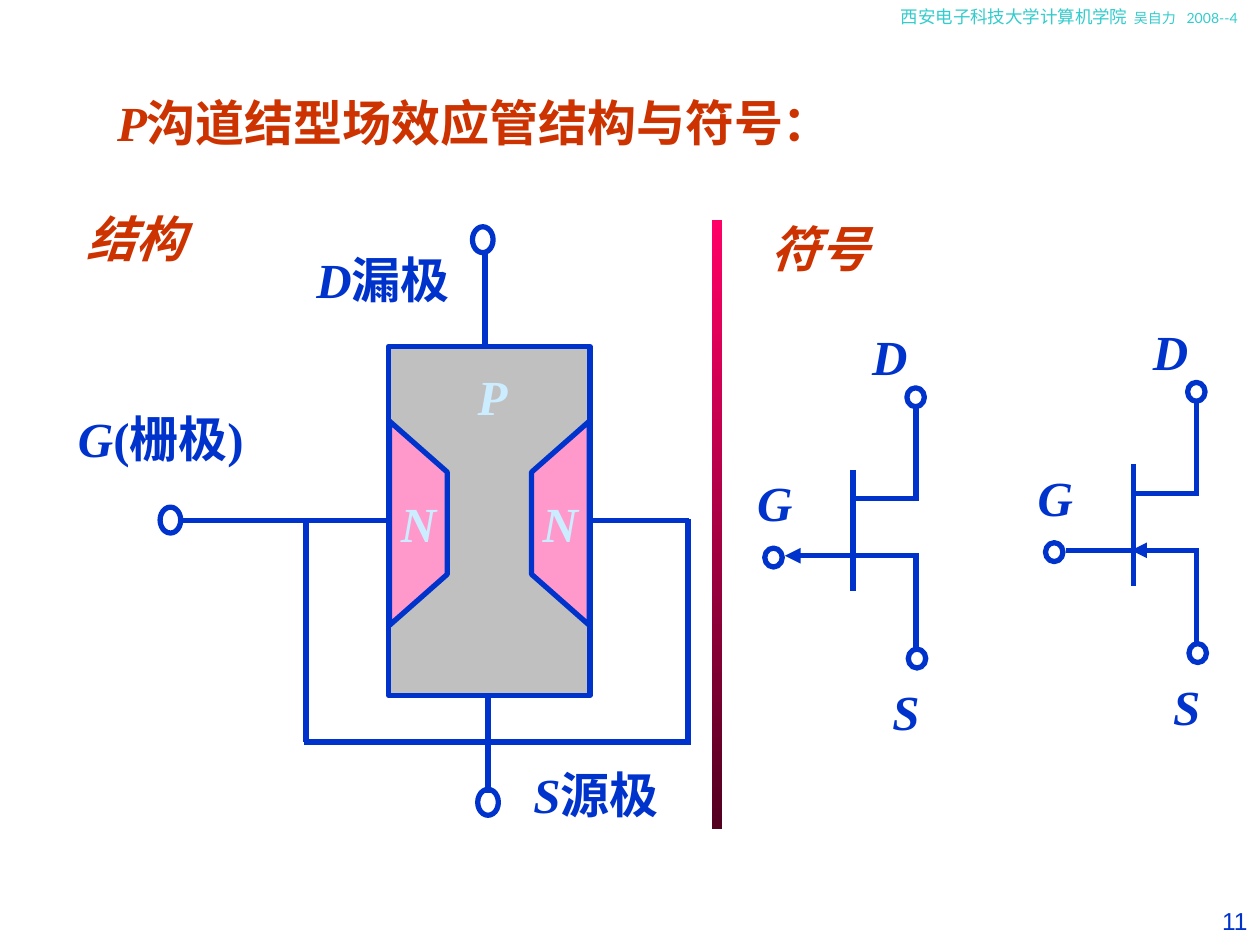
from dataclasses import dataclass

import lxml.etree
import pptx
import pptx.dml.color
import pptx.enum.shapes
import pptx.enum.text
import pptx.oxml.ns
import pptx.util

Pt = pptx.util.Pt
Shape = pptx.enum.shapes.MSO_SHAPE
Align = pptx.enum.text.PP_ALIGN
Anchor = pptx.enum.text.MSO_ANCHOR

BLUE, RED, PALE = "0033CC", "CC3300", "CCECFF"
GREY, PINK, TEAL = "C0C0C0", "FF99CC", "33CCCC"
LABEL_HEIGHT = 41


@dataclass
class Span:
    text: str
    size: float = 28
    font: str = "Times New Roman"
    color: str = BLUE
    bold: bool = True
    italic: bool = True


@dataclass
class Label:
    left: float
    top: float
    width: float
    spans: list[Span]
    align: Align = Align.CENTER
    anchor: Anchor = Anchor.MIDDLE
    height: float = LABEL_HEIGHT
    tabs: tuple[float, ...] = ()


@dataclass
class Wire:
    x1: float
    y1: float
    x2: float
    y2: float


@dataclass
class Terminal:
    left: float
    top: float
    width: float
    height: float


def rgb(value: str) -> pptx.dml.color.RGBColor:
    return pptx.dml.color.RGBColor.from_string(value)


def add_child(parent, tag: str, **attributes: str):
    return lxml.etree.SubElement(parent, pptx.oxml.ns.qn(tag), attributes)


def outline(shape, fill: str | None = None) -> None:
    shape.shadow.inherit = False
    if fill:
        shape.fill.solid()
        shape.fill.fore_color.rgb = rgb(fill)
    else:
        shape.fill.background()
    shape.line.color.rgb = rgb(BLUE)
    shape.line.width = Pt(3)


def draw_label(shapes, label: Label, dx: float = 0, dy: float = 0) -> None:
    box = shapes.add_textbox(Pt(label.left + dx), Pt(label.top + dy),
                             Pt(label.width), Pt(label.height))
    frame = box.text_frame
    frame.word_wrap = True
    frame.vertical_anchor = label.anchor
    para = frame.paragraphs[0]
    para.alignment = label.align
    if label.tabs:
        stops = add_child(para._p.get_or_add_pPr(), "a:tabLst")
        for stop in label.tabs:
            add_child(stops, "a:tab", pos=str(int(Pt(stop))), algn="l")
    for span in label.spans:
        run = para.add_run()
        run.text = span.text
        run.font.size = Pt(span.size)
        run.font.name = span.font
        run.font.bold = span.bold
        run.font.italic = span.italic
        run.font.color.rgb = rgb(span.color)


def draw_wire(shapes, wire: Wire, dx: float = 0, dy: float = 0, arrow: bool = False) -> None:
    line = shapes.add_connector(pptx.enum.shapes.MSO_CONNECTOR.STRAIGHT,
                                Pt(wire.x1 + dx), Pt(wire.y1 + dy),
                                Pt(wire.x2 + dx), Pt(wire.y2 + dy))
    line.line.color.rgb = rgb(BLUE)
    line.line.width = Pt(3)
    properties = line.element.spPr
    if arrow:
        add_child(properties.find(pptx.oxml.ns.qn("a:ln")), "a:headEnd", type="triangle")
    add_child(properties, "a:effectLst")


def draw_terminal(shapes, spot: Terminal, dx: float = 0, dy: float = 0) -> None:
    outline(shapes.add_shape(Shape.OVAL, Pt(spot.left + dx), Pt(spot.top + dy),
                             Pt(spot.width), Pt(spot.height)))


def draw_gate_region(shapes, outer: float, inner: float) -> None:
    builder = shapes.build_freeform(Pt(outer), Pt(240.7))
    builder.add_line_segments([(Pt(outer), Pt(357.3)), (Pt(inner), Pt(328.2)),
                               (Pt(inner), Pt(269.8))], close=True)
    outline(builder.convert_to_shape(), PINK)


def draw_structure(page) -> None:
    shapes = page.shapes.add_group_shape().shapes
    outline(shapes.add_shape(Shape.RECTANGLE, Pt(222), Pt(198), Pt(115.2), Pt(199.4)), GREY)
    draw_gate_region(shapes, 222.6, 255.6)
    draw_gate_region(shapes, 336.8, 303.8)
    for wire in (
        Wire(277.2, 143.3, 277.2, 198.7),   # drain
        Wire(278.8, 397.4, 278.8, 452.9),   # source
        Wire(337, 297.4, 394, 297.4),       # gate loop
        Wire(393.1, 296.6, 393.1, 426),
        Wire(393.1, 424, 173.5, 424),
        Wire(221, 297.4, 102.5, 297.4),
        Wire(174.8, 424, 174.8, 297.4),
    ):
        draw_wire(shapes, wire)
    for left, top in ((91.5, 289.8), (270, 129.6), (273, 451.1)):
        draw_terminal(shapes, Terminal(left, top, 11.8, 14.8))
    for label in (
        Label(244.8, 206, 73.4, [Span("P", color=PALE)]),
        Label(222, 278.6, 33, [Span("N", color=PALE)]),
        Label(303, 278.6, 33, [Span("N", color=PALE)]),
        Label(27.4, 229.7, 129, [Span("G"), Span("(栅极)", italic=False)]),
        Label(268.6, 433.4, 144, [Span("S"), Span("源极", italic=False)]),
        Label(145.4, 139, 147, [Span("D"), Span("漏极", italic=False)]),
    ):
        draw_label(shapes, label)


def draw_symbol(page, dx: float, dy: float, arrow_out: bool) -> None:
    """Draw one transistor symbol; the arrow sits on the gate or source lead."""
    shapes = page.shapes.add_group_shape().shapes
    for wire in (
        Wire(487.5, 268.5, 487.5, 337.7),   # channel
        Wire(486, 285, 525, 285),           # drain lead
        Wire(523.5, 286.5, 523.5, 231),
        Wire(523.5, 371.5, 523.5, 316),     # source riser
    ):
        draw_wire(shapes, wire, dx, dy)
    draw_wire(shapes, Wire(486, 317.6, 525, 317.6), dx, dy, not arrow_out)
    draw_wire(shapes, Wire(448.5, 317.6, 487.5, 317.6), dx, dy, arrow_out)
    for left, top in ((437, 313.2), (518.2, 221.6), (519, 370.9)):
        draw_terminal(shapes, Terminal(left, top, 10, 10.8), dx, dy)
    for name, left, top in (("D", 489, 183), ("G", 423.2, 266.6), ("S", 498.2, 386)):
        draw_label(shapes, Label(left, top, 39, [Span(name)]), dx, dy)


def draw_divider(page) -> None:
    bar = page.shapes.add_shape(Shape.RECTANGLE, Pt(406.8), Pt(126), Pt(5.8), Pt(347.8))
    bar.shadow.inherit = False
    bar.line.fill.background()
    bar.fill.gradient()
    bar.fill.gradient_angle = 270
    for stop, position, color in zip(bar.fill.gradient_stops, (0, 1), ("FF0066", "530021")):
        stop.position = position
        stop.color.rgb = rgb(color)


def main() -> None:
    deck = pptx.Presentation()
    deck.slide_width, deck.slide_height = Pt(720), Pt(540)
    page = deck.slides.add_slide(deck.slide_layouts[6])

    # Header
    header = [Span(text, size, "Lato", TEAL, False, False)
              for text, size in (("西安电子科技大学计算机学院", 10), ("\t吴自力\t2008--4", 8))]
    draw_label(page.shapes, Label(507.6, 0, 212.4, header, Align.LEFT, Anchor.TOP, 28.8,
                                  (133.2, 163.4)))

    # Diagrams
    draw_structure(page)
    draw_divider(page)
    draw_symbol(page, 0, 0, arrow_out=True)
    draw_symbol(page, 160.4, -3.1, arrow_out=False)

    # Headings
    title = [Span("P", color=RED), Span("沟道结型场效应管结构与符号：", color=RED, italic=False)]
    draw_label(page.shapes, Label(59.8, 49, 436.3, title, Align.LEFT))
    for text, left, top in (("符号", 433.4, 121), ("结构", 42.5, 115.2)):
        draw_label(page.shapes, Label(left, top, 141.8, [Span(text, color=RED)], Align.LEFT))

    # Page number
    number = [Span("11", 14, "Arial", BLUE, False, False)]
    draw_label(page.shapes, Label(626.4, 514, 93.6, number, Align.RIGHT, Anchor.TOP, 26))

    deck.save("out.pptx")


if __name__ == "__main__":
    main()
